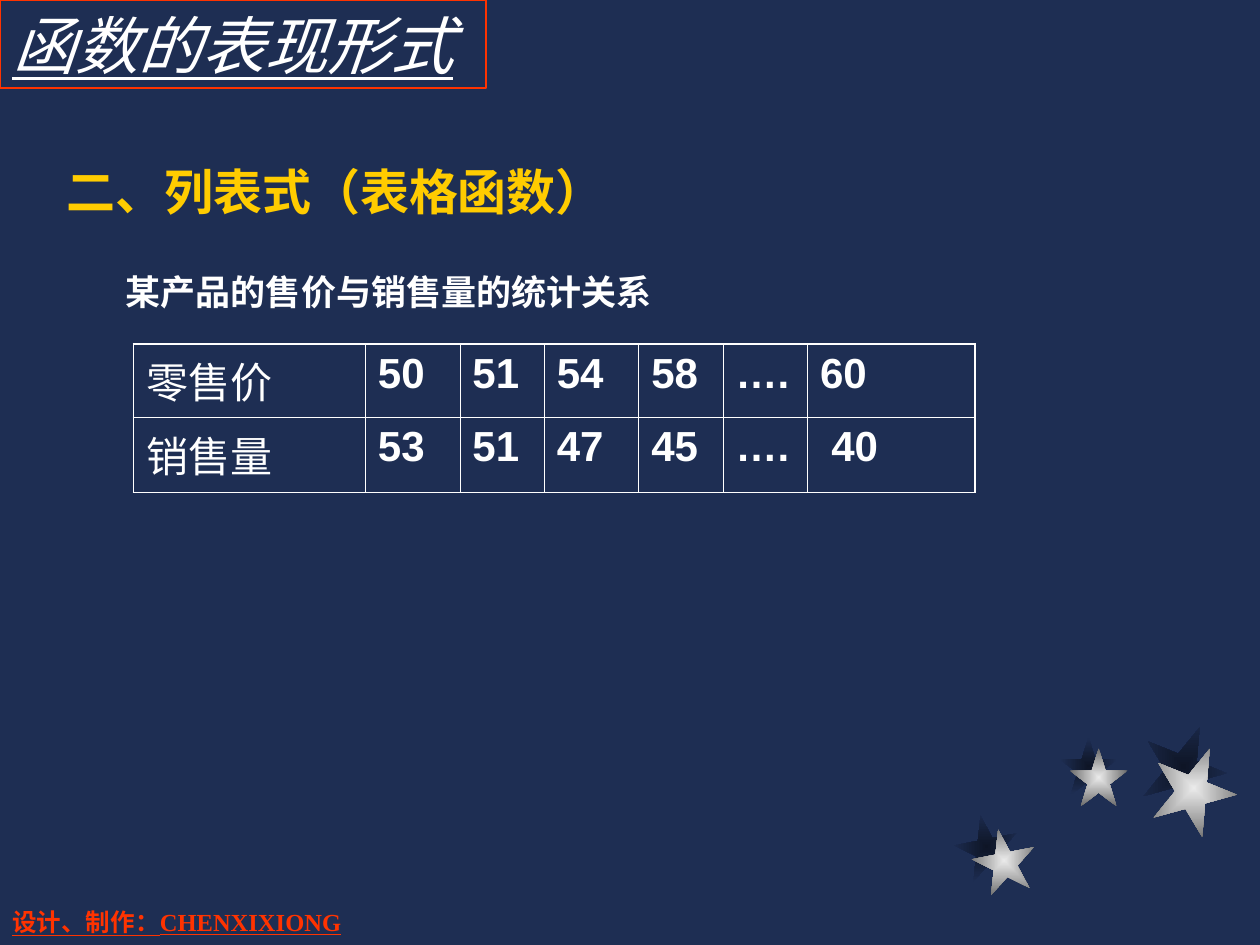
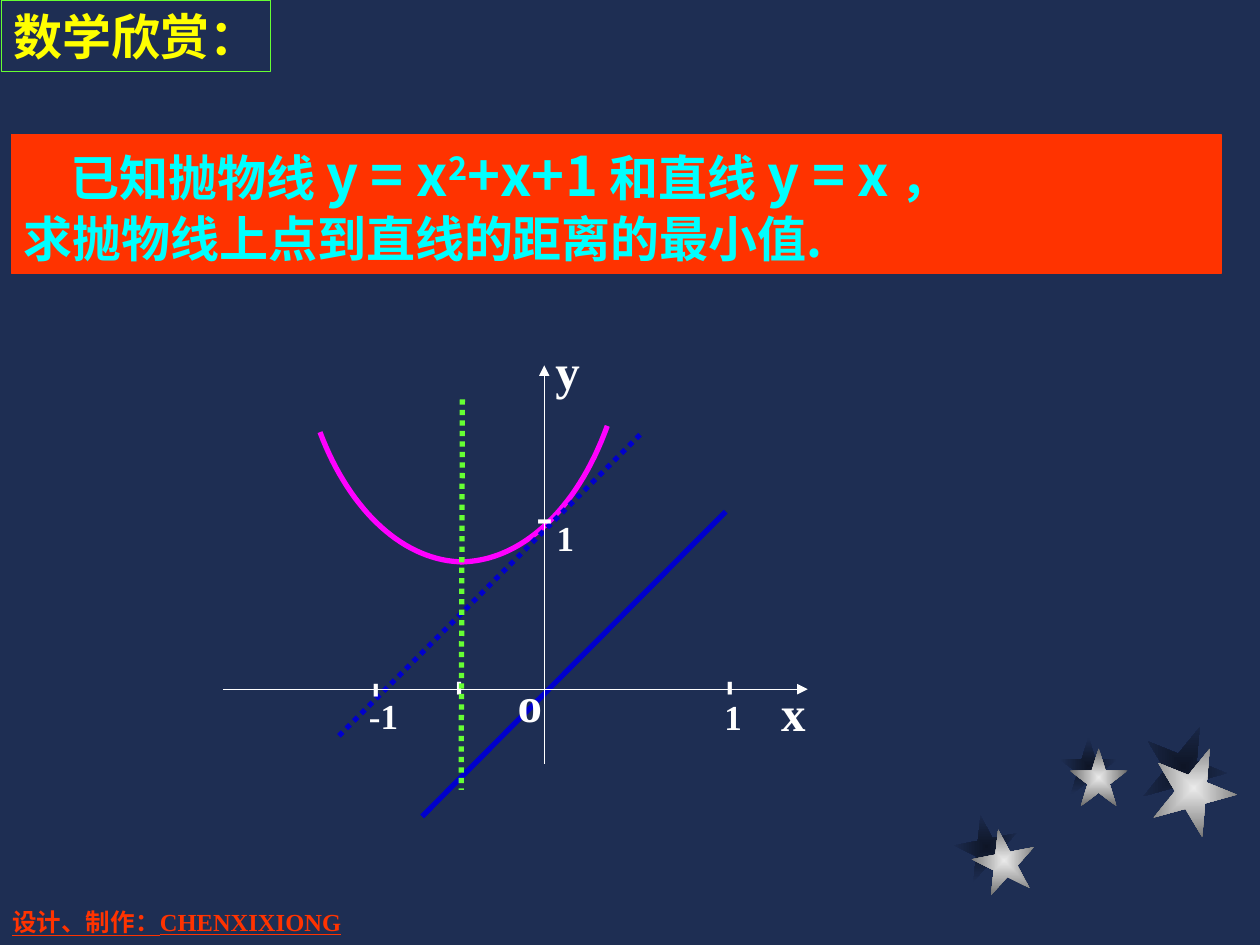
from dataclasses import dataclass

from lxml import etree
from pptx import Presentation
from pptx.dml.color import RGBColor
from pptx.enum.dml import MSO_LINE
from pptx.enum.shapes import MSO_CONNECTOR, MSO_SHAPE
from pptx.enum.text import MSO_ANCHOR, PP_ALIGN
from pptx.oxml import parse_xml
from pptx.oxml.ns import nsdecls, qn
from pptx.util import Inches, Pt


@dataclass(frozen=True)
class Theme:
    navy: str = "1E2E53"
    shadow: str = "0E1526"
    silver: str = "EAEAEA"
    gray: str = "6C6C6C"
    white: str = "FFFFFF"
    red: str = "FF3300"
    gold: str = "FFCC00"
    yellow: str = "FFFF00"
    cyan: str = "00FFFF"
    green: str = "66FF33"
    magenta: str = "FF00FF"
    blue: str = "0000CC"
    serif: str = "Times New Roman"
    sans: str = "Arial"
    chinese: str = "Noto Sans CJK SC"
    problem_font: str = "Noto Sans CJK KR"
    title: int = 36
    formula: int = 32
    heading: int = 28
    cell: int = 24
    caption: int = 20
    footer: int = 14
    thin: float = 0.75
    thick: float = 3


THEME = Theme()


@dataclass(frozen=True)
class Box:
    left: float
    top: float
    width: float = 0
    height: float = 0

    def offset(self, left, top, width=0, height=0):
        """Return a box placed relative to this one."""
        return Box(self.left + left, self.top + top, width, height)

    def lengths(self):
        return [Inches(v) for v in (self.left, self.top, self.width, self.height)]


def color(value):
    return RGBColor.from_string(value)


def style_span(span, size, tint, font=THEME.serif, bold=True, italic=False, underline=False):
    span.font.size = Pt(size)
    span.font.name = font
    span.font.bold = bold
    span.font.italic = italic
    span.font.underline = underline
    span.font.color.rgb = color(tint)
    east_asian = font if font == THEME.problem_font else THEME.chinese
    etree.SubElement(span.font._element, qn("a:ea"), typeface=east_asian)


def write(shape, text, size, tint, wrap=True, **style):
    frame = shape.text_frame
    frame.word_wrap = wrap
    frame.vertical_anchor = MSO_ANCHOR.TOP
    frame.text = text
    para = frame.paragraphs[0]
    para.alignment = PP_ALIGN.LEFT
    style_span(para.runs[0], size, tint, **style)


def add_text(page, box, text, size, tint, **style):
    shape = page.shapes.add_textbox(*box.lengths())
    write(shape, text, size, tint, **style)
    return shape


def add_panel(page, box, line, width, fill=None):
    panel = page.shapes.add_shape(MSO_SHAPE.RECTANGLE, *box.lengths())
    panel.shadow.inherit = False
    if fill:
        panel.fill.solid()
        panel.fill.fore_color.rgb = color(fill)
    else:
        panel.fill.background()
    panel.line.color.rgb = color(line)
    panel.line.width = Pt(width)
    return panel


def add_line(page, start, end, tint, width, dotted=False, arrow=False):
    line = page.shapes.add_connector(
        MSO_CONNECTOR.STRAIGHT, *start.lengths()[:2], *end.lengths()[:2])
    line.line.color.rgb = color(tint)
    line.line.width = Pt(width)
    if dotted:
        line.line.dash_style = MSO_LINE.ROUND_DOT
    if arrow:
        etree.SubElement(line.line._get_or_add_ln(), qn("a:tailEnd"), type="triangle")
    etree.SubElement(line._element.spPr, qn("a:effectLst"))


def add_star(page, box, rotation, center, edge):
    star = page.shapes.add_shape(MSO_SHAPE.STAR_5_POINT, *box.lengths())
    star.rotation = rotation
    star.line.fill.background()
    star.shadow.inherit = False
    gradient = parse_xml(
        f'<a:gradFill {nsdecls("a")} rotWithShape="1"><a:gsLst>'
        f'<a:gs pos="0"><a:srgbClr val="{center}"/></a:gs>'
        f'<a:gs pos="100000"><a:srgbClr val="{edge}"/></a:gs></a:gsLst>'
        '<a:path path="rect"><a:fillToRect l="50000" t="50000" r="50000" b="50000"/>'
        '</a:path></a:gradFill>')
    star._element.spPr.find(qn("a:prstGeom")).addnext(gradient)


def add_stars(page, box):
    """Draw three shadows, then the three silver stars over them."""
    layers = (
        (THEME.shadow, THEME.navy, ((0, 0.72), (0.83, 0.1), (1.48, 0))),
        (THEME.silver, THEME.gray, ((0.14, 0.83), (0.91, 0.19), (1.56, 0.17))),
    )
    shapes = ((0.5, -11), (0.46, 0), (0.67, 22))
    for center, edge, places in layers:
        for (left, top), (size, rotation) in zip(places, shapes):
            add_star(page, box.offset(left, top, size, size), rotation, center, edge)


def add_page(deck):
    page = deck.slides.add_slide(deck.slide_layouts[6])
    add_stars(page, Box(7.58, 5.75))
    add_text(page, Box(0, 7.15, 3.15, 0.34), "设计、制作：CHENXIXIONG",
             THEME.footer, THEME.red, underline=True)
    return page


def set_borders(cell, widths):
    """Set the left, right, top and bottom borders, widths in points."""
    properties = cell._tc.get_or_add_tcPr()
    for index, (side, width) in enumerate(zip(("lnL", "lnR", "lnT", "lnB"), widths)):
        properties.insert(index, parse_xml(
            f'<a:{side} {nsdecls("a")} w="{Pt(width)}"><a:solidFill>'
            f'<a:srgbClr val="{THEME.white}"/></a:solidFill></a:{side}>'))


def add_price_table(page, box):
    rows = (("零售价", "50", "51", "54", "58", "….", "60"),
            ("销售量", "53", "51", "47", "45", "….", "40"))
    column_widths = (1.84, 0.75, 0.67, 0.75, 0.67, 0.67, 1.33)
    row_heights = (0.58, 0.6)
    outer, inner = 1.08, 0.45
    table = page.shapes.add_table(len(rows), len(column_widths), *box.lengths()).table
    table.first_row = table.horz_banding = False
    for column, width in zip(table.columns, column_widths):
        column.width = Inches(width)
    for row, height in zip(table.rows, row_heights):
        row.height = Inches(height)
    last_row, last_column = len(rows) - 1, len(column_widths) - 1
    for r, values in enumerate(rows):
        for c, value in enumerate(values):
            cell = table.cell(r, c)
            cell.text = value
            cell.fill.background()
            style_span(cell.text_frame.paragraphs[0].runs[0], THEME.cell, THEME.white,
                       font=THEME.sans, bold=c > 0)
            at_edges = (c == 0, c == last_column, r == 0, r == last_row)
            set_borders(cell, [outer if edge else inner for edge in at_edges])
    table.cell(last_row, last_column).margin_left = Inches(0.19)


def add_problem(page, box):
    panel = add_panel(page, box, THEME.red, THEME.thin, THEME.red)
    frame = panel.text_frame
    frame.word_wrap = True
    frame.vertical_anchor = MSO_ANCHOR.TOP
    small, large = THEME.heading, THEME.formula
    lines = (
        (("已知抛物线 ", small), ("y = x", large), ("2", large), ("+x+1", large),
         (" 和直线 ", small), ("y = x", large), (" ，", small)),
        (("求抛物线上点到直线的距离的最小值.", small),),
    )
    for index, pieces in enumerate(lines):
        para = frame.add_paragraph() if index else frame.paragraphs[0]
        para.alignment = PP_ALIGN.LEFT
        for text, size in pieces:
            span = para.add_run()
            span.text = text
            style_span(span, size, THEME.cyan, font=THEME.problem_font)
            if text == "2":
                span.font._element.set("baseline", "30000")
    frame.paragraphs[0]._p.get_or_add_pPr().set("indent", str(Inches(0.37)))


def add_curve(page, origin, controls, steps=32):
    """Draw a cubic Bézier curve from four control points."""
    points = []
    for step in range(steps + 1):
        t = step / steps
        weights = ((1 - t) ** 3, 3 * t * (1 - t) ** 2, 3 * t ** 2 * (1 - t), t ** 3)
        x, y = (sum(w * point[axis] for w, point in zip(weights, controls))
                for axis in (0, 1))
        points.append(origin.offset(x, y).lengths()[:2])
    builder = page.shapes.build_freeform(*points[0], scale=1.0)
    builder.add_line_segments(points[1:], close=False)
    curve = builder.convert_to_shape()
    curve.shadow.inherit = False
    curve.fill.background()
    curve.line.color.rgb = color(THEME.magenta)
    curve.line.width = Pt(THEME.thick)


def add_graph(page, box):
    """Draw the parabola, the line and its tangent around the axes' origin."""
    origin = box.offset(2.55, 2.82)
    for controls in (((-0.67, -1.01), (-0.19, -1.01), (0.26, -1.42), (0.5, -2.09)),
                     ((-0.64, -1.01), (-1.1, -1.01), (-1.54, -1.4), (-1.78, -2.04))):
        add_curve(page, origin, controls)

    def segment(start, end, *style, **options):
        add_line(page, origin.offset(*start), origin.offset(*end), *style, **options)

    segment((1.44, -1.41), (-0.97, 1.01), THEME.blue, THEME.thick)
    segment((0.76, -2.02), (-1.65, 0.39), THEME.blue, THEME.thick, dotted=True)
    segment((-2.55, 0), (2.09, 0), THEME.white, THEME.thin, arrow=True)
    segment((0, 0.59), (0, -2.57), THEME.white, THEME.thin, arrow=True)

    letter, tick, number = (0.39, 0.57), (0.33, 0.57), (0.34, 0.44)
    labels = (
        ("o", -0.31, -0.17, letter, THEME.heading, 0),
        ("x", 1.78, -0.1, letter, THEME.heading, 0),
        ("y", -0.01, -2.82, letter, THEME.heading, 0),
        ("-", -0.16, -1.67, tick, THEME.heading, 0),
        ("-", 1.37, -0.29, tick, THEME.heading, 90),
        ("-", -0.78, -0.29, tick, THEME.heading, 90),
        ("-", -1.44, -0.27, tick, THEME.heading, 90),
        ("1", 1.33, 0, number, THEME.caption, 0),
        ("1", 0, -1.42, number, THEME.caption, 0),
        ("-1", -1.49, -0.01, (0.43, 0.44), THEME.caption, 0),
    )
    for text, left, top, extent, size, rotation in labels:
        label = add_text(page, origin.offset(left, top, *extent), text, size,
                         THEME.white, wrap=False)
        label.rotation = rotation
    segment((-0.65, -2.3), (-0.66, 0.8), THEME.green, THEME.thick, dotted=True)


def build_table_page(deck):
    page = add_page(deck)
    title = add_panel(page, Box(0, 0, 3.86, 0.7), THEME.red, 1)
    write(title, "函数的表现形式", THEME.title, THEME.white,
          bold=False, italic=True, underline=True)
    add_text(page, Box(0.43, 1.23, 4.65, 0.57), "二、列表式（表格函数）",
             THEME.heading, THEME.gold)
    add_price_table(page, Box(1.06, 2.73, 6.67, 1.18))
    add_text(page, Box(0.9, 2.1, 6.38, 0.44), "某产品的售价与销售量的统计关系",
             THEME.caption, THEME.white)


def build_parabola_page(deck):
    page = add_page(deck)
    add_problem(page, Box(0.09, 1.07, 9.6, 1.1))
    add_graph(page, Box(1.77, 2.65, 4.72, 3.83))
    title = add_panel(page, Box(0.01, 0, 2.14, 0.57), THEME.green, THEME.thin)
    write(title, "数学欣赏：", THEME.heading, THEME.yellow, wrap=False, font=THEME.chinese)


def main():
    deck = Presentation()
    deck.slide_width, deck.slide_height = Inches(10), Inches(7.5)
    background = deck.slide_master.background.fill
    background.solid()
    background.fore_color.rgb = color(THEME.navy)
    build_table_page(deck)
    build_parabola_page(deck)
    deck.save("out.pptx")


if __name__ == "__main__":
    main()
